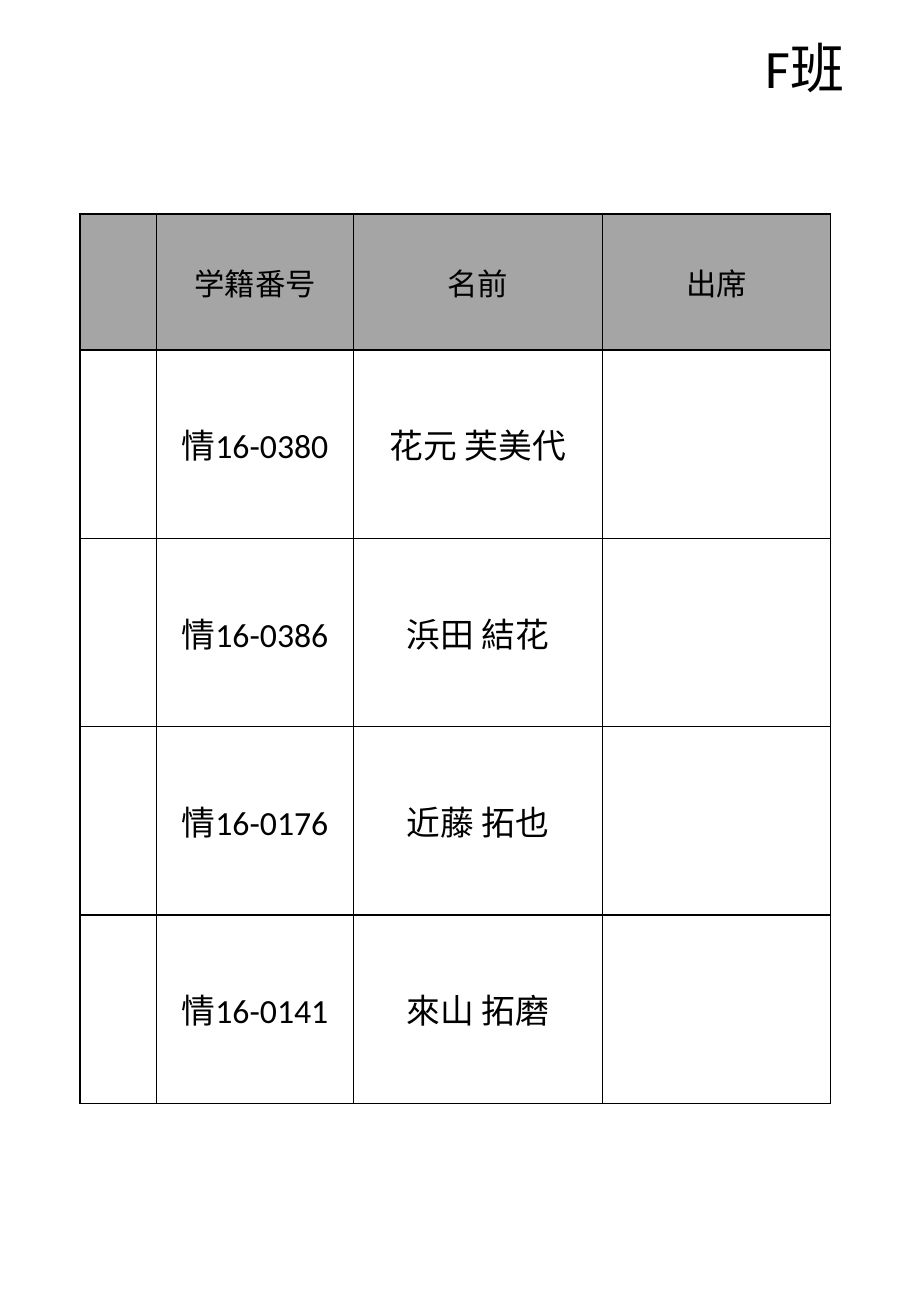
from lxml import etree
from pptx import Presentation
from pptx.dml.color import RGBColor
from pptx.enum import text
from pptx.oxml.ns import qn
from pptx.util import Inches, Pt


def style_font(font, size):
    for name, value in {"name": "Calibri", "size": Pt(size), "bold": False}.items():
        setattr(font, name, value)
    font.color.rgb = RGBColor.from_string("000000")


def add_borders(cell, color, width):
    """Draw a solid line on all four sides; call before the cell is filled."""
    tcPr = cell._tc.get_or_add_tcPr()
    for side in ("a:lnL", "a:lnR", "a:lnT", "a:lnB"):
        ln = etree.SubElement(tcPr, qn(side), w=str(Pt(width)))
        fill = etree.SubElement(ln, qn("a:solidFill"))
        etree.SubElement(fill, qn("a:srgbClr"), val=color)


prs = Presentation()
prs.slide_width, prs.slide_height = Inches(7.5), Inches(10.83)
s = prs.slides.add_slide(prs.slide_layouts[5])

# Group name
title = s.shapes.title
title.left, title.top = Inches(6.2), Inches(0.23)
title.width, title.height = Inches(1.02), Inches(0.64)
tf = title.text_frame
tf.text = "F班"
tf.word_wrap = True
tf.auto_size = text.MSO_AUTO_SIZE.SHAPE_TO_FIT_TEXT
tf.vertical_anchor = text.MSO_ANCHOR.TOP
p = tf.paragraphs[0]
p.alignment = text.PP_ALIGN.LEFT
style_font(p.runs[0].font, 32)

# Attendance table
rows = [
    ("", "学籍番号", "名前", "出席"),
    ("", "情16-0380", "花元 芙美代", ""),
    ("", "情16-0386", "浜田 結花", ""),
    ("", "情16-0176", "近藤 拓也", ""),
    ("", "情16-0141", "來山 拓磨", ""),
]
col_widths = [0.63, 1.62, 2.05, 1.88]
header_height, row_height = 1.12, 1.55

table = s.shapes.add_table(len(rows), len(col_widths), Inches(0.66), Inches(1.76),
                           Inches(6.18), Inches(7.32)).table
table.first_row = table.horz_banding = False
for column, width in zip(table.columns, col_widths):
    column.width = Inches(width)

for i, row in enumerate(rows):
    header = i == 0
    table.rows[i].height = Inches(header_height if header else row_height)
    for j, value in enumerate(row):
        cell = table.cell(i, j)
        add_borders(cell, "000000", 1)
        cell.fill.solid()
        cell.fill.fore_color.rgb = RGBColor.from_string("A5A5A5" if header else "FFFFFF")
        cell.vertical_anchor = text.MSO_ANCHOR.MIDDLE
        cell.text = value
        p = cell.text_frame.paragraphs[0]
        p.alignment = text.PP_ALIGN.CENTER
        for r in p.runs:
            style_font(r.font, 18 if header else 20)

prs.save("out.pptx")
